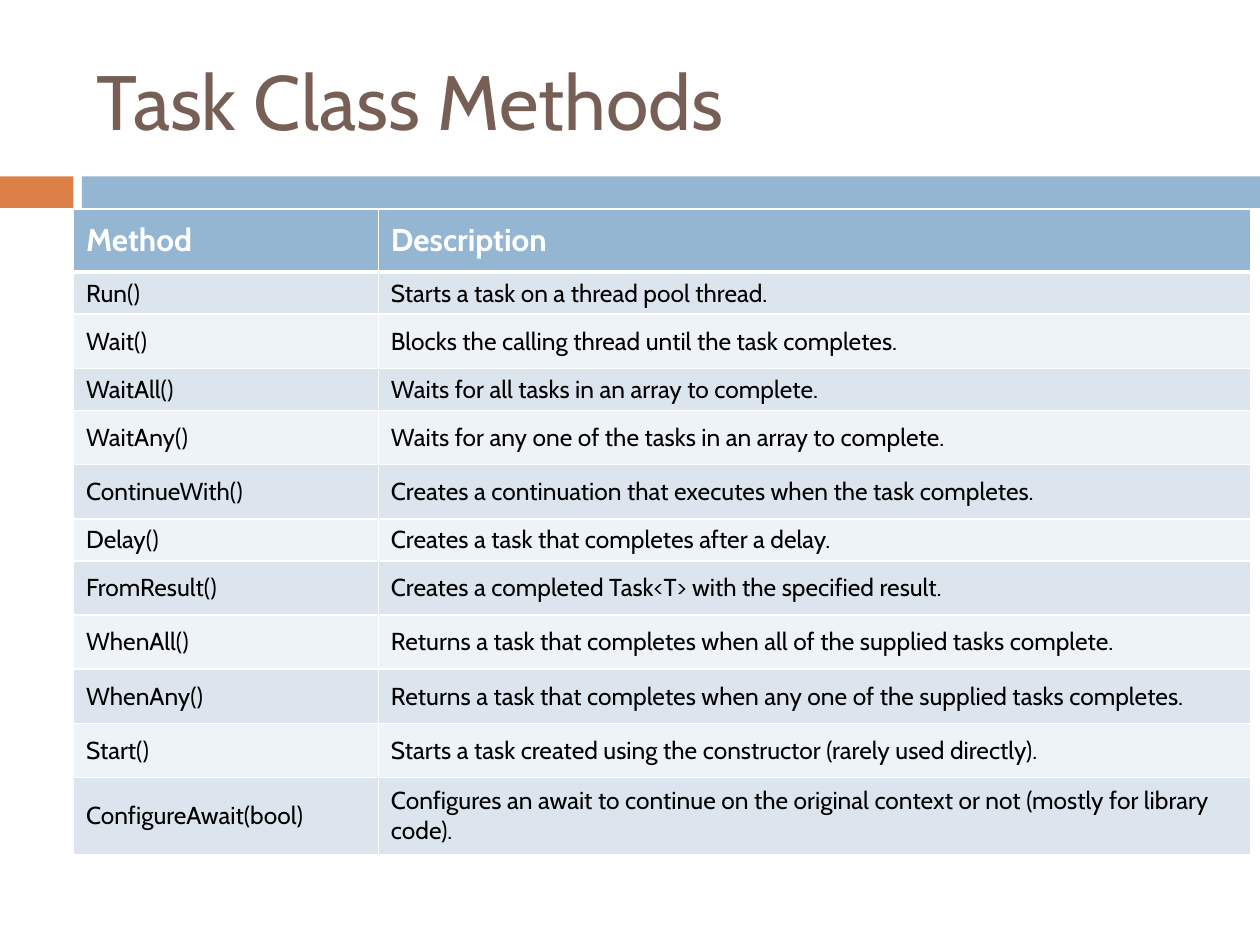
import pptx
import pptx.util
import pptx.dml.color
import pptx.enum.shapes
import pptx.enum.text
import pptx.oxml

Pt = pptx.util.Pt
MIDDLE = pptx.enum.text.MSO_ANCHOR.MIDDLE
FONT = "Cabin"
COLORS = {
    "title": "775F55",
    "accent": "DD8047",
    "band": "94B6D2",
    "dark": "DCE5EE",
    "light": "EEF3F7",
    "white": "FFFFFF",
    "black": "000000",
}
WIDTHS = [174.24, 498.24]
HEAD, LOW, HIGH, LAST = 36, 18, 30.96, 43.92
ROWS = [
    ("Method", "Description", HEAD),
    ("Run()", "Starts a task on a thread pool thread.", LOW),
    ("Wait()", "Blocks the calling thread until the task completes.", HIGH),
    ("WaitAll()", "Waits for all tasks in an array to complete.", LOW),
    ("WaitAny()", "Waits for any one of the tasks in an array to complete.", HIGH),
    ("ContinueWith()", "Creates a continuation that executes when the task completes.", HIGH),
    ("Delay()", "Creates a task that completes after a delay.", LOW),
    ("FromResult()", "Creates a completed Task<T> with the specified result.", HIGH),
    ("WhenAll()", "Returns a task that completes when all of the supplied tasks complete.", HIGH),
    ("WhenAny()", "Returns a task that completes when any one of the supplied tasks completes.", HIGH),
    ("Start()", "Starts a task created using the constructor (rarely used directly).", HIGH),
    ("ConfigureAwait(bool)",
     "Configures an await to continue on the original context or not (mostly for library code).", LAST),
]


def color(name):
    return pptx.dml.color.RGBColor.from_string(COLORS[name])


def set_text(frame, text, size, tint, bold=False):
    frame.text = text
    font = frame.paragraphs[0].runs[0].font
    font.name = FONT
    font.size = Pt(size)
    font.bold = bold
    font.color.rgb = color(tint)


def add_bar(slide, left, width, tint):
    kind = pptx.enum.shapes.MSO_SHAPE.RECTANGLE
    bar = slide.shapes.add_shape(kind, Pt(left), Pt(100.8), Pt(width), Pt(18))
    bar.shadow.inherit = False
    bar.fill.solid()
    bar.fill.fore_color.rgb = color(tint)
    bar.line.fill.background()


def add_title(slide, text):
    box = slide.shapes.add_textbox(Pt(48.24), Pt(18), Pt(642.24), Pt(77.76))
    frame = box.text_frame
    frame.word_wrap = True
    frame.vertical_anchor = MIDDLE
    set_text(frame, text, 44, "title")


def add_edge(cell, side, width):
    props = cell._tc.get_or_add_tcPr()
    space = "http://schemas.openxmlformats.org/drawingml/2006/main"
    props.append(pptx.oxml.parse_xml(
        f'<a:ln{side} xmlns:a="{space}" w="{Pt(width)}"><a:solidFill>'
        f'<a:srgbClr val="{COLORS["white"]}"/></a:solidFill></a:ln{side}>'))


def fill_cell(cell, text, row):
    for side in "LRTB":
        thick = (row == 0 and side == "B") or (row == 1 and side == "T")
        add_edge(cell, side, 3 if thick else 1)
    cell.fill.solid()
    cell.vertical_anchor = MIDDLE
    if row == 0:
        cell.fill.fore_color.rgb = color("band")
        set_text(cell.text_frame, text, 18, "white", True)
    else:
        cell.fill.fore_color.rgb = color("dark" if row % 2 else "light")
        set_text(cell.text_frame, text, 14, "black")


def add_grid(slide):
    frame = slide.shapes.add_table(
        len(ROWS), len(WIDTHS), Pt(42), Pt(119.52), Pt(sum(WIDTHS)), Pt(367.2))
    table = frame.table
    for column, width in zip(table.columns, WIDTHS):
        column.width = Pt(width)
    for row, (method, about, height) in enumerate(ROWS):
        table.rows[row].height = Pt(height)
        for col, text in enumerate((method, about)):
            fill_cell(table.cell(row, col), text, row)
    frame.height = Pt(367.2)


def main():
    deck = pptx.Presentation()
    deck.slide_width, deck.slide_height = Pt(720), Pt(540)
    slide = deck.slides.add_slide(deck.slide_layouts[6])
    add_bar(slide, 0, 42, "accent")
    add_bar(slide, 46.8, 673.2, "band")
    add_title(slide, "Task Class Methods")
    add_grid(slide)
    deck.save("out.pptx")


if __name__ == "__main__":
    main()
